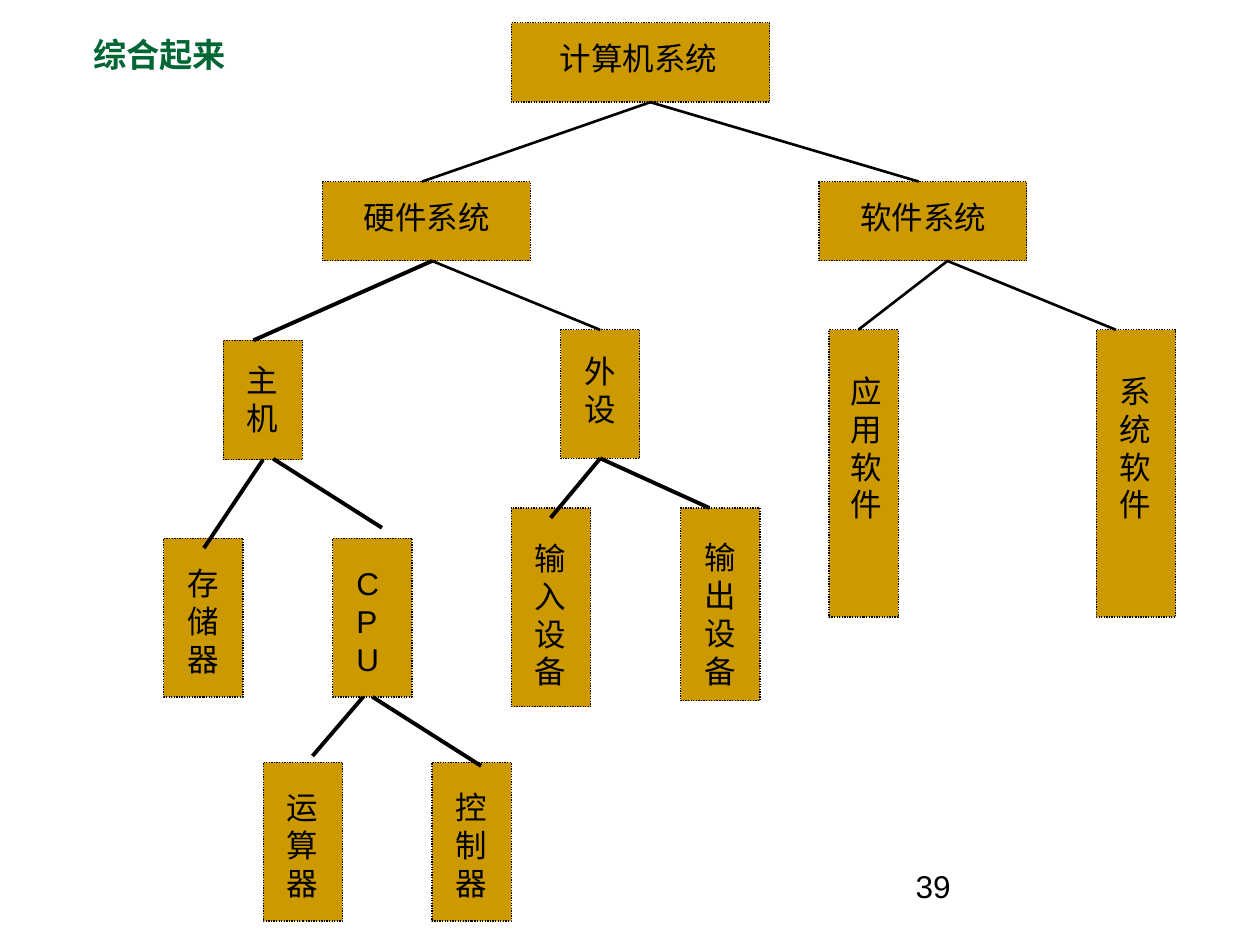
"""Build a slide showing the make-up of a computer system as a tree."""
from dataclasses import dataclass

from lxml import etree
from pptx import Presentation
from pptx.dml.color import RGBColor
from pptx.enum.dml import MSO_LINE
from pptx.enum.shapes import MSO_CONNECTOR, MSO_SHAPE
from pptx.enum.text import MSO_ANCHOR
from pptx.oxml.ns import qn
from pptx.util import Cm, Pt

RECT = MSO_SHAPE.RECTANGLE
STRAIGHT = MSO_CONNECTOR.STRAIGHT
DOTTED = MSO_LINE.ROUND_DOT
MIDDLE = MSO_ANCHOR.MIDDLE
TOP = MSO_ANCHOR.TOP
TOP_SIDE, BOTTOM_SIDE = 0, 2


@dataclass(frozen=True)
class Theme:
    """Colours, fonts, sizes and line widths."""
    ink: RGBColor = RGBColor(0x00, 0x00, 0x00)
    box: RGBColor = RGBColor(0xCC, 0x99, 0x00)
    title: RGBColor = RGBColor(0x00, 0x66, 0x33)
    font: str = "Arial"
    title_font: str = "Times New Roman"
    size: int = 18
    title_size: int = 19
    outline: float = 0.75
    thin: float = 1.5
    thick: float = 2.25


THEME = Theme()

# name: left, top, width, height in cm
BOXES = {
    "计算机系统": (10.31, 0.46, 5.21, 1.6),
    "硬件系统": (6.5, 3.66, 4.19, 1.6),
    "软件系统": (16.51, 3.66, 4.19, 1.6),
    "外设": (11.3, 6.65, 1.6, 2.59),
    "主机": (4.5, 6.86, 1.6, 2.41),
    "应用软件": (16.71, 6.65, 1.4, 5.79),
    "系统软件": (22.1, 6.65, 1.6, 5.79),
    "存储器": (3.3, 10.85, 1.6, 3.2),
    "CPU": (6.71, 10.85, 1.6, 3.2),
    "输入设备": (10.31, 10.24, 1.6, 4.01),
    "输出设备": (13.72, 10.24, 1.6, 3.89),
    "运算器": (5.31, 15.37, 1.6, 3.2),
    "控制器": (8.71, 15.37, 1.6, 3.2),
}

# upper end, lower end, width; a name stands for the middle of that box's side
LINKS = [
    ((13.11, 2.06), (8.51, 3.66), THEME.thin),
    ((13.11, 2.06), (18.52, 3.66), THEME.thin),
    ((8.71, 5.26), (5.11, 6.86), THEME.thick),
    ((8.71, 5.26), "外设", THEME.thin),
    ((19.1, 5.26), (17.3, 6.65), THEME.thin),
    ((19.1, 5.26), (22.5, 6.65), THEME.thin),
    ("主机", (4.11, 11.05), THEME.thick),
    ((5.51, 9.25), (7.7, 10.64), THEME.thick),
    ("外设", (11.1, 10.44), THEME.thick),
    ("外设", (14.3, 10.24), THEME.thick),
    ((7.32, 14.05), (6.3, 15.24), THEME.thick),
    ("CPU", (9.7, 15.44), THEME.thick),
]


def add_text(s, text, left, top, width, height, font=THEME.font,
             size=THEME.size, color=THEME.ink, bold=False, anchor=TOP):
    """Add a wrapping text box with one run."""
    tf = s.shapes.add_textbox(Cm(left), Cm(top), Cm(width), Cm(height)).text_frame
    tf.word_wrap = True
    tf.vertical_anchor = anchor
    r = tf.paragraphs[0].add_run()
    r.text = text
    r.font.name = font
    r.font.size = Pt(size)
    r.font.bold = bold
    r.font.color.rgb = color


def add_box(s, name, left, top, width, height):
    """Add a dotted box and its label, stacked by character in tall boxes."""
    sp = s.shapes.add_shape(RECT, Cm(left), Cm(top), Cm(width), Cm(height))
    sp.shadow.inherit = False
    sp.fill.solid()
    sp.fill.fore_color.rgb = THEME.box
    sp.line.color.rgb = THEME.ink
    sp.line.width = Pt(THEME.outline)
    sp.line.dash_style = DOTTED
    lines = 1 if width > height else len(name)
    add_text(s, name, left + 0.14 * width, top + height / 8,
             0.78 * width, 0.25 + 0.76 * lines)
    return sp


def add_link(s, boxes, upper, lower, weight):
    """Add a line from an upper to a lower end, joined where an end is a box."""
    x1, y1 = (0, 0) if upper in boxes else upper
    x2, y2 = (0, 0) if lower in boxes else lower
    link = s.shapes.add_connector(STRAIGHT, Cm(x1), Cm(y1), Cm(x2), Cm(y2))
    if upper in boxes:
        link.begin_connect(boxes[upper], BOTTOM_SIDE)
    if lower in boxes:
        link.end_connect(boxes[lower], TOP_SIDE)
    link.line.color.rgb = THEME.ink
    link.line.width = Pt(weight)
    etree.SubElement(link._element.spPr, qn("a:effectLst"))


def main():
    """Build and save the slide."""
    prs = Presentation()
    prs.slide_width, prs.slide_height = Cm(25.4), Cm(19.05)
    s = prs.slides.add_slide(prs.slide_layouts[6])
    add_text(s, "39", 18.21, 17.35, 5.51, 1.32)
    boxes = {name: add_box(s, name, *place) for name, place in BOXES.items()}
    for link in LINKS:
        add_link(s, boxes, *link)
    add_text(s, "综合起来", 1.63, 0.36, 5.16, 1.45, THEME.title_font,
             THEME.title_size, THEME.title, True, MIDDLE)
    prs.save("out.pptx")


if __name__ == "__main__":
    main()
